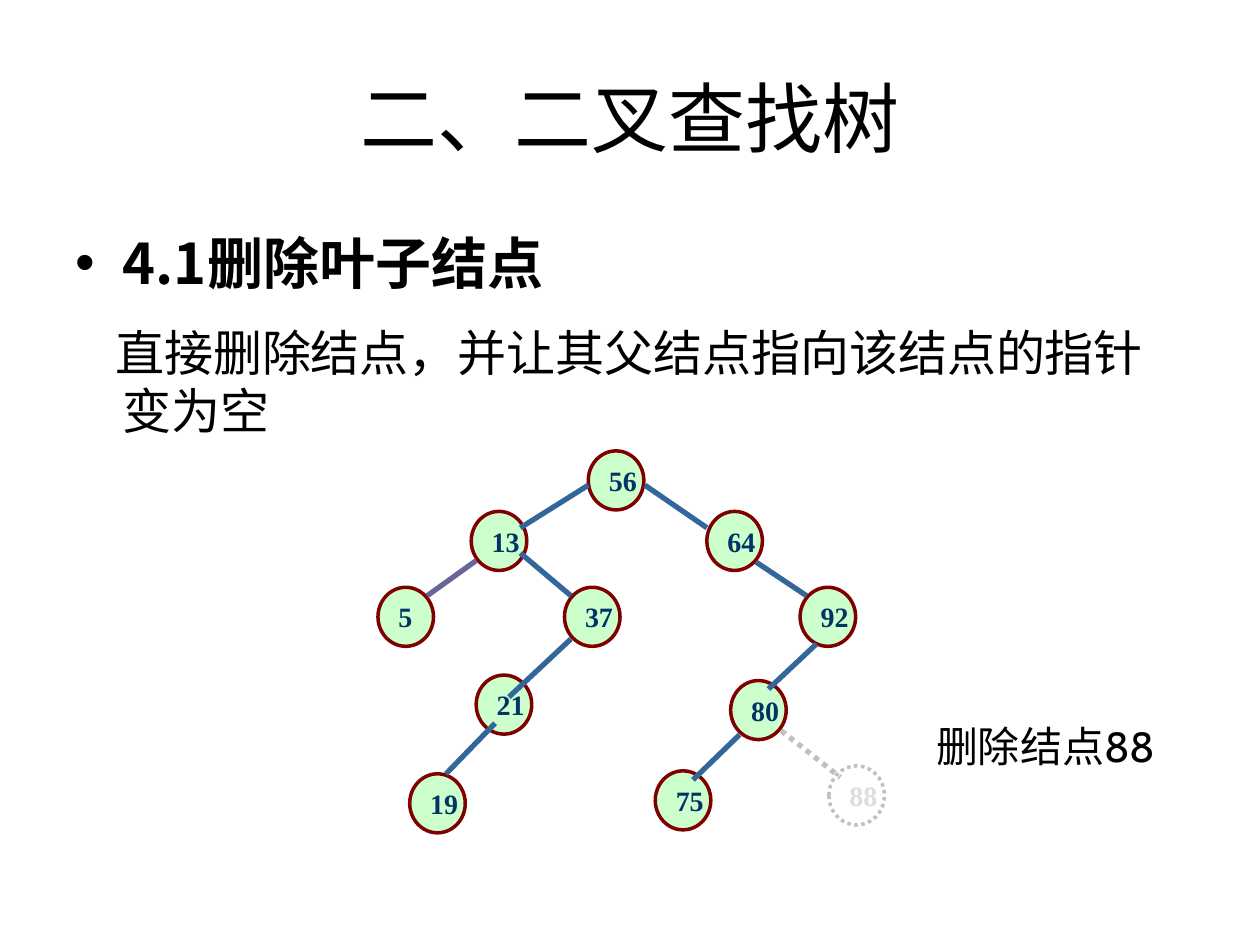
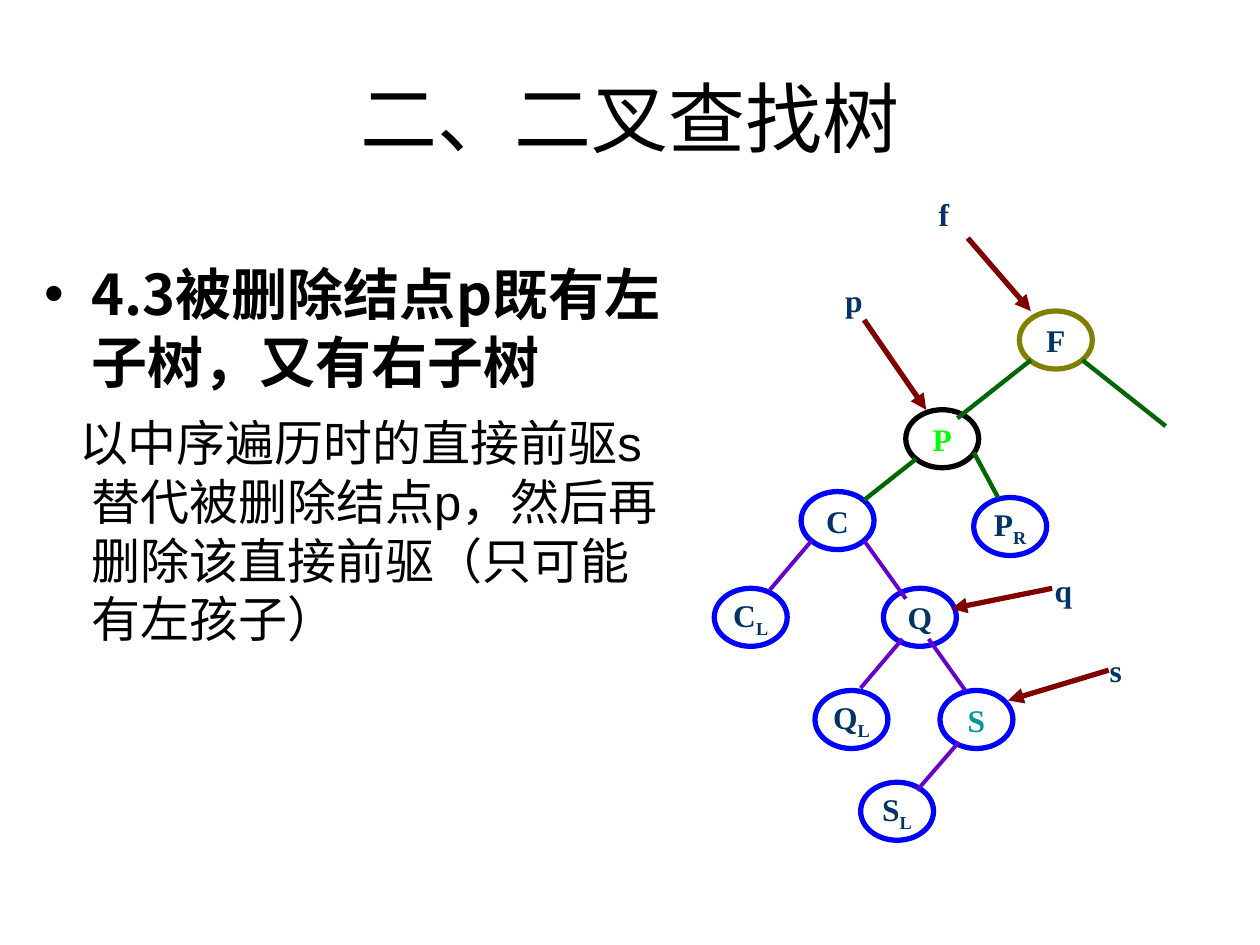
from dataclasses import dataclass
from typing import Optional

from pptx import Presentation
from pptx.dml.color import RGBColor
from pptx.enum.dml import MSO_LINE
from pptx.enum.shapes import MSO_CONNECTOR, MSO_SHAPE
from pptx.enum.text import MSO_ANCHOR, MSO_AUTO_SIZE, PP_ALIGN
from pptx.oxml.ns import qn
from pptx.util import Cm, Pt
from lxml.etree import SubElement

BLACK = RGBColor(0x00, 0x00, 0x00)
WHITE = RGBColor(0xFF, 0xFF, 0xFF)
NAVY = RGBColor(0x00, 0x33, 0x66)
MAROON = RGBColor(0x80, 0x00, 0x00)
MINT = RGBColor(0xCC, 0xFF, 0xCC)
STEEL = RGBColor(0x33, 0x66, 0x99)
SLATE = RGBColor(0x66, 0x66, 0x99)
SILVER = RGBColor(0xC0, 0xC0, 0xC0)
PALE_GREY = RGBColor(0xDD, 0xDD, 0xDD)
BLUE = RGBColor(0x00, 0x00, 0xFF)
OLIVE = RGBColor(0x80, 0x80, 0x00)
LIME = RGBColor(0x00, 0xFF, 0x00)
TEAL = RGBColor(0x00, 0x99, 0x99)
GREEN = RGBColor(0x00, 0x66, 0x00)
PURPLE = RGBColor(0x66, 0x00, 0xCC)

TITLE = "二、二叉查找树"
TITLE_FONT = "Arial"
HEADING_FONT = "Noto Sans CJK SC"
NODE_FONT = "Times New Roman"
LABEL_FONT = "Cabin"
HANGING = 0.95


@dataclass(frozen=True)
class NodeStyle:
    width: float
    height: float
    line_width: float
    size: int
    align: PP_ALIGN


@dataclass(frozen=True)
class Node:
    text: str
    left: float
    top: float
    line: RGBColor = MAROON
    fill: Optional[RGBColor] = MINT
    color: RGBColor = NAVY
    subscript: str = ""
    dotted: bool = False


@dataclass(frozen=True)
class Edge:
    x1: float
    y1: float
    x2: float
    y2: float
    color: RGBColor = STEEL
    width: float = 3
    dotted: bool = False
    arrow: bool = False


@dataclass(frozen=True)
class Label:
    text: str
    left: float
    top: float
    width: float
    height: float = 1.02
    font: str = NODE_FONT
    size: int = 18
    color: RGBColor = NAVY
    bold: bool = True


@dataclass(frozen=True)
class Body:
    """Heading and detail text, with the frame that holds them."""
    frame: tuple[float, float, float, float]
    heading: str
    detail: str
    detail_font: str
    detail_indent: float
    detail_gap: float


NUMBER_NODE = NodeStyle(1.12, 1.19, 2, 16, PP_ALIGN.LEFT)
LETTER_NODE = NodeStyle(1.47, 1.17, 3, 18, PP_ALIGN.CENTER)

LEAF_BODY = Body((1.27, 4.45, 22.86, 12.57), "4.1删除叶子结点",
                 "直接删除结点，并让其父结点指向该结点的指针变为空",
                 HEADING_FONT, -0.15, 15.5)
LEAF_NODES = [
    Node("56", 11.86, 9.09),
    Node("13", 9.5, 10.31),
    Node("64", 14.25, 10.31),
    Node("5", 7.62, 11.84),
    Node("37", 11.38, 11.84),
    Node("92", 16.13, 11.84),
    Node("21", 9.6, 13.61),
    Node("80", 14.73, 13.72),
    Node("19", 8.26, 15.6),
    Node("75", 13.21, 15.54),
    Node("88", 16.71, 15.44, SILVER, WHITE, PALE_GREY, dotted=True),
]
LEAF_EDGES = [
    Edge(11.86, 9.78, 10.49, 10.64),
    Edge(13, 9.78, 14.25, 10.64),
    Edge(9.6, 11.3, 8.61, 12.01, SLATE),
    Edge(10.49, 11.15, 11.51, 12.01),
    Edge(15.24, 11.33, 16.26, 12.01),
    Edge(11.51, 12.88, 10.26, 14.05),
    Edge(16.46, 12.98, 15.49, 13.89),
    Edge(9.98, 14.58, 8.99, 15.6),
    Edge(14.91, 14.81, 13.97, 15.72),
    Edge(15.75, 14.73, 16.94, 15.67, SILVER, dotted=True),
]
LEAF_LABELS = [Label("删除结点88", 18.62, 14.4, 5.28, 1.27, LABEL_FONT, 24, BLACK, False)]

TWO_CHILD_BODY = Body((0.64, 5.08, 13.13, 12.27), "4.3被删除结点p既有左子树，又有右子树",
                      "以中序遍历时的直接前驱s替代被删除结点p，然后再删除该直接前驱（只可能有左孩子）",
                      TITLE_FONT, -0.25, 10.5)
TWO_CHILD_NODES = [
    Node("F", 20.55, 6.27, OLIVE, None),
    Node("P", 18.26, 8.26, BLACK, None, LIME),
    Node("C", 16.15, 9.91, BLUE, None),
    Node("P", 19.63, 10.03, BLUE, None, subscript="R"),
    Node("C", 14.4, 11.86, BLUE, None, subscript="L"),
    Node("Q", 17.81, 11.86, BLUE, None),
    Node("Q", 16.43, 13.92, BLUE, None, subscript="L"),
    Node("S", 18.95, 13.92, BLUE, None, TEAL),
    Node("S", 17.35, 15.77, BLUE, None, subscript="L"),
]
TWO_CHILD_EDGES = [
    Edge(20.78, 7.26, 19.3, 8.43, GREEN, 2.5),
    Edge(21.82, 7.26, 23.5, 8.59, GREEN, 2.5),
    Edge(18.47, 9.25, 17.42, 10.08, GREEN, 2.5),
    Edge(19.63, 9.12, 20.12, 10.03, GREEN, 2.5),
    Edge(16.36, 10.9, 15.52, 11.89, PURPLE, 2.25),
    Edge(17.42, 10.9, 18.26, 12.07, PURPLE, 2.25),
    Edge(18.19, 12.88, 17.35, 13.87, PURPLE, 2.25),
    Edge(18.72, 12.88, 19.46, 13.92, PURPLE, 2.25),
    Edge(19.33, 14.96, 18.49, 15.93, PURPLE, 2.25),
    Edge(19.51, 4.8, 20.78, 6.27, MAROON, arrow=True),
    Edge(17.42, 6.45, 18.67, 8.26, MAROON, arrow=True),
    Edge(21.21, 11.86, 19.18, 12.27, MAROON, arrow=True),
    Edge(22.35, 13.51, 20.32, 14.12, MAROON, arrow=True),
]
TWO_CHILD_LABELS = [
    Label("f", 18.67, 3.81, 0.91),
    Label("p", 16.79, 5.54, 0.86),
    Label("q", 21.01, 11.38, 0.86),
    Label("s", 22.12, 13, 0.74),
]


def add_span(para, text: str, font: str, size: float, color: RGBColor, bold: bool = False):
    span = para.add_run()
    span.text = text
    span.font.name = font
    span.font.size = Pt(size)
    span.font.bold = bold
    span.font.color.rgb = color
    return span


def place(box, left: float, top: float, width: float, height: float) -> None:
    box.left, box.top, box.width, box.height = Cm(left), Cm(top), Cm(width), Cm(height)


def indent(para, first_line: float):
    properties = para._p.get_or_add_pPr()
    properties.set("marL", str(Cm(HANGING)))
    properties.set("indent", str(Cm(first_line)))
    return properties


def fill_title(page) -> None:
    box = page.shapes.title
    place(box, 1.27, 0.76, 22.86, 3.18)
    box.text_frame.vertical_anchor = MSO_ANCHOR.MIDDLE
    para = box.text_frame.paragraphs[0]
    para.alignment = PP_ALIGN.CENTER
    add_span(para, TITLE, TITLE_FONT, 44, BLACK)


def fill_body(page, body: Body) -> None:
    box = page.placeholders[1]
    place(box, *body.frame)
    frame = box.text_frame
    frame.auto_size = MSO_AUTO_SIZE.NONE

    heading = frame.paragraphs[0]
    heading.space_before, heading.line_spacing = Pt(8), Pt(39)
    SubElement(indent(heading, -HANGING), qn("a:buChar"), char="•")
    add_span(heading, body.heading, HEADING_FONT, 32, BLACK, True)

    detail = frame.add_paragraph()
    detail.space_before, detail.line_spacing = Pt(body.detail_gap), Pt(33.5)
    SubElement(indent(detail, body.detail_indent), qn("a:buNone"))
    add_span(detail, body.detail, body.detail_font, 28, BLACK)


def draw_node(page, node: Node, style: NodeStyle) -> None:
    oval = page.shapes.add_shape(MSO_SHAPE.OVAL, Cm(node.left), Cm(node.top),
                                 Cm(style.width), Cm(style.height))
    oval.shadow.inherit = False
    if node.fill is None:
        oval.fill.background()
    else:
        oval.fill.solid()
        oval.fill.fore_color.rgb = node.fill
    oval.line.color.rgb = node.line
    oval.line.width = Pt(style.line_width)
    if node.dotted:
        oval.line.dash_style = MSO_LINE.ROUND_DOT
    frame = oval.text_frame
    frame.word_wrap = False
    frame.vertical_anchor = MSO_ANCHOR.MIDDLE
    para = frame.paragraphs[0]
    para.alignment = style.align
    add_span(para, node.text, NODE_FONT, style.size, node.color, True)
    if node.subscript:
        span = add_span(para, node.subscript, NODE_FONT, style.size, node.color, True)
        span._r.get_or_add_rPr().set("baseline", "-25000")


def draw_edge(page, edge: Edge) -> None:
    link = page.shapes.add_connector(MSO_CONNECTOR.STRAIGHT, Cm(edge.x1), Cm(edge.y1),
                                     Cm(edge.x2), Cm(edge.y2))
    link.line.color.rgb = edge.color
    link.line.width = Pt(edge.width)
    if edge.dotted:
        link.line.dash_style = MSO_LINE.ROUND_DOT
    if edge.arrow:
        SubElement(link.line._get_or_add_ln(), qn("a:tailEnd"), type="triangle")
    SubElement(link._element.spPr, qn("a:effectLst"))


def draw_label(page, label: Label) -> None:
    box = page.shapes.add_textbox(Cm(label.left), Cm(label.top),
                                  Cm(label.width), Cm(label.height))
    box.text_frame.word_wrap = False
    add_span(box.text_frame.paragraphs[0], label.text, label.font, label.size,
             label.color, label.bold)


def add_tree_page(deck, body: Body, style: NodeStyle, nodes: list[Node],
                  edges: list[Edge], labels: list[Label]) -> None:
    page = deck.slides.add_slide(deck.slide_layouts[1])
    fill_title(page)
    fill_body(page, body)
    for node in nodes:
        draw_node(page, node, style)
    for edge in edges:
        draw_edge(page, edge)
    for label in labels:
        draw_label(page, label)


def main() -> None:
    deck = Presentation()
    deck.slide_width, deck.slide_height = Cm(25.4), Cm(19.05)
    add_tree_page(deck, LEAF_BODY, NUMBER_NODE, LEAF_NODES, LEAF_EDGES, LEAF_LABELS)
    add_tree_page(deck, TWO_CHILD_BODY, LETTER_NODE, TWO_CHILD_NODES,
                  TWO_CHILD_EDGES, TWO_CHILD_LABELS)
    deck.save("out.pptx")


if __name__ == "__main__":
    main()
